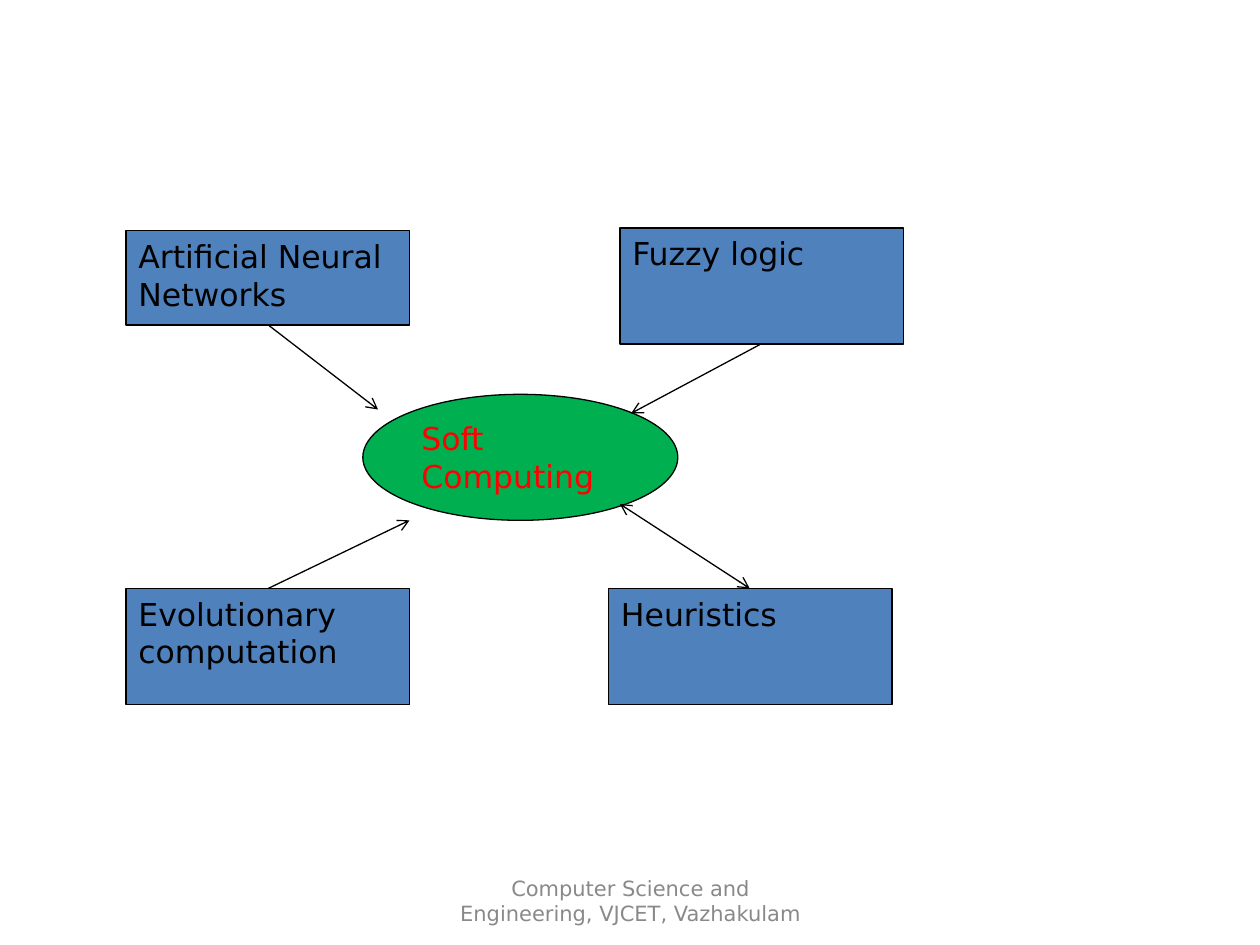
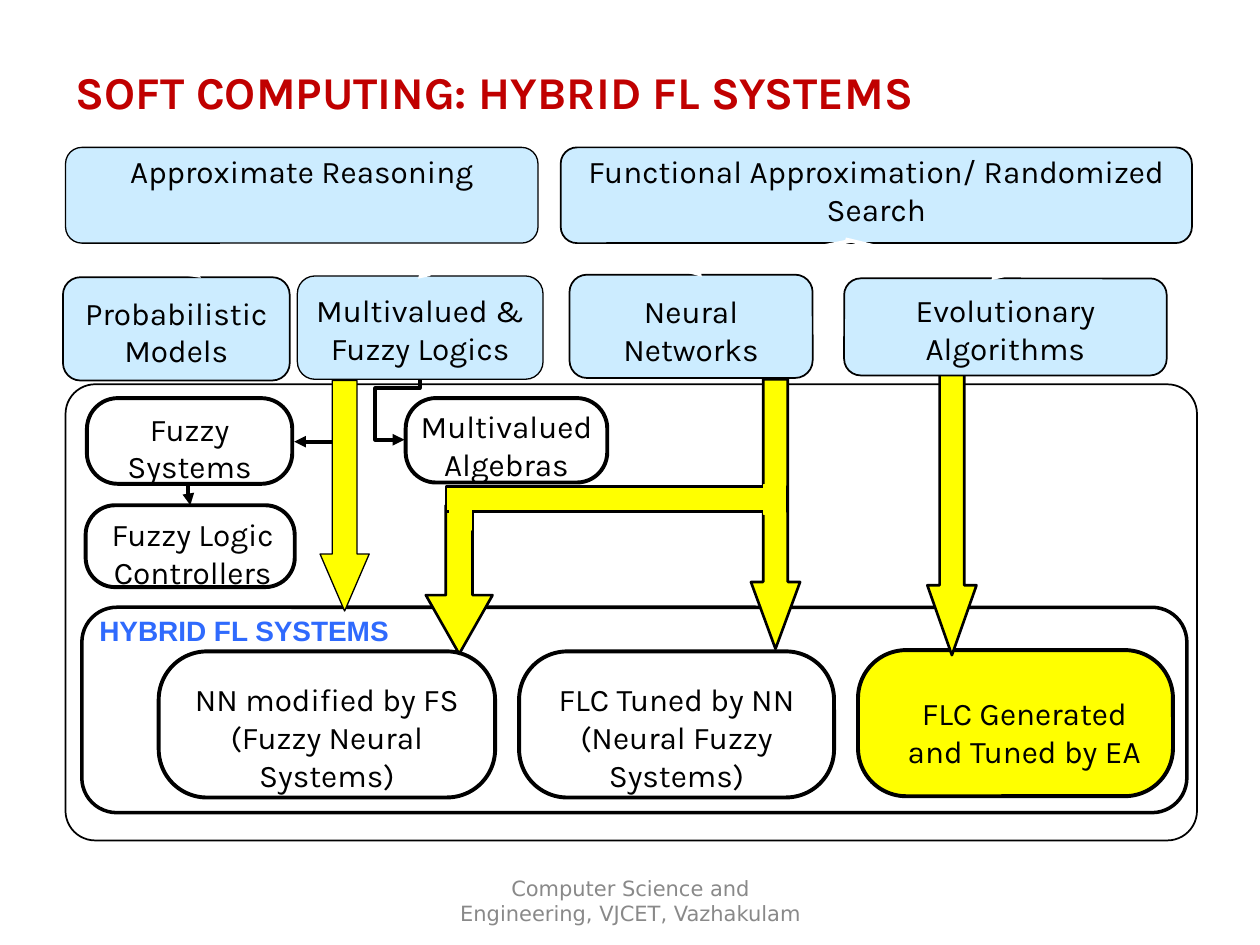
from dataclasses import dataclass

from lxml.etree import SubElement
from pptx import Presentation
from pptx.dml.color import RGBColor
from pptx.enum.shapes import MSO_CONNECTOR, MSO_SHAPE
from pptx.enum.text import MSO_ANCHOR, MSO_AUTO_SIZE, PP_ALIGN
from pptx.oxml.ns import qn
from pptx.util import Inches, Pt

COLUMNS, ROWS = 100, 75
TITLE_ONLY, BLANK = 5, 6
CORNER_INSET = 0.29  # share of a corner radius that a rounded box keeps free of text


@dataclass(frozen=True)
class Theme:
    black: str = "000000"
    white: str = "FFFFFF"
    blue: str = "4F81BD"
    green: str = "00B050"
    red: str = "FF0000"
    title: str = "C00000"
    sky: str = "CCECFF"
    yellow: str = "FFFF00"
    caption: str = "2F6AFD"
    grey: str = "898989"
    body_font: str = "Karla"
    plain_font: str = "DejaVu Sans"
    caption_font: str = "Arial"
    title_size: float = 26
    body_size: float = 18
    caption_size: float = 16
    footer_size: float = 12
    hairline: float = 0.75
    thin: float = 1
    medium: float = 1.5
    frame: float = 2
    thick: float = 2.25


THEME = Theme()


class SlideBuilder:
    """Draws on the current slide; lengths are columns and rows of the grid."""

    def __init__(self, deck):
        self.deck = deck
        self.slide = None

    def x(self, columns):
        return round(self.deck.slide_width * columns / COLUMNS)

    def y(self, rows):
        return round(self.deck.slide_height * rows / ROWS)

    def area(self, left, top, width, height):
        return self.x(left), self.y(top), self.x(width), self.y(height)

    def new_slide(self, layout):
        self.slide = self.deck.slides.add_slide(self.deck.slide_layouts[layout])

    def fill_text(self, shape, lines, size=THEME.body_size, font=THEME.body_font,
                  color=THEME.black, bold=False, align=PP_ALIGN.LEFT,
                  anchor=MSO_ANCHOR.TOP, insets=(1, 0.5, 1, 0.5), spacing=None):
        frame = shape.text_frame
        frame.word_wrap = True
        frame.auto_size = MSO_AUTO_SIZE.NONE
        frame.vertical_anchor = anchor
        left, top, right, bottom = insets
        frame.margin_left, frame.margin_right = self.x(left), self.x(right)
        frame.margin_top, frame.margin_bottom = self.y(top), self.y(bottom)
        for index, line in enumerate(lines):
            para = frame.add_paragraph() if index else frame.paragraphs[0]
            para.alignment = align
            para.line_spacing = spacing
            span = para.add_run()
            span.text = line
            span.font.name = font
            span.font.size = Pt(size)
            span.font.bold = bold
            span.font.color.rgb = RGBColor.from_string(color)

    def title(self, text, *place):
        box = self.slide.shapes.title
        box.left, box.top, box.width, box.height = self.area(*place)
        self.fill_text(box, [text], size=THEME.title_size, color=THEME.title, bold=True,
                       anchor=MSO_ANCHOR.BOTTOM, spacing=0.9)

    def text(self, lines, *place, **style):
        box = self.slide.shapes.add_textbox(*self.area(*place))
        self.fill_text(box, lines, **style)

    def footer(self):
        self.text(["Computer Science and Engineering, VJCET, Vazhakulam"],
                  34.2, 69.5, 31.7, 4, size=THEME.footer_size, font=THEME.plain_font,
                  color=THEME.grey, align=PP_ALIGN.CENTER, anchor=MSO_ANCHOR.MIDDLE)

    def shape(self, preset, place, fill=None, line=THEME.black,
              weight=THEME.hairline, adjust=()):
        shape = self.slide.shapes.add_shape(preset, *self.area(*place))
        shape.shadow.inherit = False
        if fill:
            shape.fill.solid()
            shape.fill.fore_color.rgb = RGBColor.from_string(fill)
        else:
            shape.fill.background()
        shape.line.color.rgb = RGBColor.from_string(line)
        shape.line.width = Pt(weight)
        for index, value in enumerate(adjust):
            shape.adjustments[index] = value
        return shape

    def concept(self, text, place, preset=MSO_SHAPE.RECTANGLE, fill=THEME.blue,
                color=THEME.black):
        shape = self.shape(preset, place, fill)
        self.fill_text(shape, [text], font=THEME.plain_font, color=color)

    def rounded(self, lines, place, text_drop, fill=THEME.white, weight=THEME.thick,
                corner=0.33, shift=0):
        """Rounded box whose text starts text_drop rows below its top edge."""
        shape = self.shape(MSO_SHAPE.ROUNDED_RECTANGLE, place, fill,
                           weight=weight, adjust=[corner])
        drop = max(0, text_drop - min(place[2:]) * corner * CORNER_INSET)
        self.fill_text(shape, lines, align=PP_ALIGN.CENTER, insets=(shift, drop, 0, 0))

    def category(self, lines, place, text_drop, weight=THEME.thin):
        self.rounded(lines, place, text_drop, THEME.sky, weight, 0.17)

    def block_arrow(self, place, adjust, weight=THEME.medium):
        self.shape(MSO_SHAPE.DOWN_ARROW, place, THEME.yellow,
                   weight=weight, adjust=adjust)

    def arrow(self, start, end, color=THEME.black, weight=THEME.thick,
              head="triangle", both=False, bend=None, rotation=0, adjust=()):
        """Arrow from start to end; a bent one is laid out before its rotation."""
        kind = MSO_CONNECTOR.ELBOW if bend else MSO_CONNECTOR.STRAIGHT
        connector = self.slide.shapes.add_connector(
            kind, self.x(start[0]), self.y(start[1]), self.x(end[0]), self.y(end[1]))
        connector.line.color.rgb = RGBColor.from_string(color)
        connector.line.width = Pt(weight)
        properties = connector.element.spPr
        outline = properties.find(qn("a:ln"))
        for tag in ("a:headEnd", "a:tailEnd") if both else ("a:tailEnd",):
            SubElement(outline, qn(tag), type=head)
        SubElement(properties, qn("a:effectLst"))
        if bend:
            properties.find(qn("a:xfrm")).set("rot", str(rotation * 60000))
            geometry = properties.find(qn("a:prstGeom"))
            geometry.set("prst", bend)
            guides = geometry.find(qn("a:avLst"))
            for number, share in enumerate(adjust, 1):
                SubElement(guides, qn("a:gd"), name=f"adj{number}",
                           fmla=f"val {round(share * 100000)}")


def soft_computing_parts(page):
    page.new_slide(BLANK)
    width, height, lower_top = 22.5, 9.2, 46.7
    page.concept("Artificial Neural Networks", (10, 18.3, width, 7.5))
    page.concept("Evolutionary computation", (10, lower_top, width, height))
    page.concept("Fuzzy logic", (49.2, 18.1, width, height))
    page.concept("Heuristics", (48.3, lower_top, width, height))
    page.concept("Soft Computing", (28.8, 31.3, 25, 10), MSO_SHAPE.OVAL,
                 THEME.green, THEME.red)
    for start, end, both in (
        ((21.3, 25.8), (30, 32.5), False),
        ((60.4, 27.3), (50.1, 32.8), False),
        ((21.3, lower_top), (32.5, 41.3), False),
        ((59.5, lower_top), (49.2, 40), True),
    ):
        page.arrow(start, end, weight=THEME.hairline, head="arrow", both=both)
    page.footer()


def hybrid_systems(page):
    page.new_slide(TITLE_ONLY)
    page.title("SOFT COMPUTING: HYBRID FL SYSTEMS", 5, 5, 90, 5)
    rounded = MSO_SHAPE.ROUNDED_RECTANGLE
    page.shape(rounded, (5.2, 30.5, 89.8, 36.2), THEME.white,
               weight=THEME.thin, adjust=[0.065])

    # Approaches and the model families below them
    page.category(["Functional Approximation/ Randomized Search"],
                  (44.5, 11.7, 50.1, 7.6), 0.4)
    page.category(["Probabilistic", "Models"], (5, 22, 18, 8.2), 1.3)
    page.category(["Neural", "Networks"], (45.2, 21.8, 19.3, 8.2), 1.4)
    white_arrow = {"color": THEME.white}
    page.arrow((23.2, 19.2), (14.9, 21.9), **white_arrow)
    page.arrow((67.6, 19.1), (54.7, 21.7), **white_arrow)

    # Fuzzy branch and hybrid systems
    page.rounded(["Fuzzy", "Systems"], (6.9, 31.6, 16.3, 6.8), 0.9, corner=0.36)
    page.rounded(["Fuzzy Logic", "Controllers"], (6.8, 40.1, 16.6, 6.5), 0.8,
                 corner=0.36, shift=0.4)
    page.rounded(["FLC Generated", "and Tuned by EA"], (68.1, 51.6, 25, 11.6), 3.5,
                 THEME.yellow, shift=1.4)
    page.shape(rounded, (6.5, 48.2, 87.7, 16.3), weight=THEME.frame, adjust=[0.17])
    page.rounded(["Multivalued", "Algebras"], (32.2, 31.6, 16, 6.7), 0.6, corner=0.36)
    page.arrow((21.9, 30.3), (28.1, 33.6), bend="bentConnector2", rotation=90)
    page.rounded(["NN modified by FS", "(Fuzzy Neural", "Systems)"],
                 (12.6, 51.7, 26.7, 11.6), 2.3)
    page.rounded(["FLC Tuned by NN", "(Neural Fuzzy", "Systems)"],
                 (41.2, 51.7, 25, 11.6), 2.3)

    # Flows into the hybrid systems
    page.block_arrow((73.6, 29.7, 3.9, 22.3), (0.5, 1.42))
    page.block_arrow((59.6, 30.1, 3.9, 21.4), (0.5, 1.36))
    page.block_arrow((25.4, 30.2, 3.9, 18.3), (0.5, 1.16), THEME.hairline)
    page.category(["Evolutionary", "Algorithms"], (67, 22.1, 25.6, 7.7), 1)
    page.arrow((67.1, 19), (79.7, 22), **white_arrow)
    page.category(["Multivalued &", "Fuzzy Logics"], (23.6, 21.9, 19.5, 8.2), 1.2,
                  THEME.hairline)
    page.arrow((23.6, 19.2), (34.2, 21.9), **white_arrow)
    page.arrow((15.8, 39.2), (14.2, 39.4), bend="bentConnector3", rotation=270,
               adjust=[0.5])
    page.block_arrow((33.8, 40.1, 5.3, 11.8), (0.4, 0.88))
    page.text(["HYBRID FL SYSTEMS"], 6.9, 48.2, 35.3, 3.7, size=THEME.caption_size,
              font=THEME.caption_font, color=THEME.caption, bold=True)
    page.shape(MSO_SHAPE.RECTANGLE, (35.4, 38.6, 27, 2), THEME.yellow,
               weight=THEME.medium)
    for joint in ((60.6, 38.5), (35.7, 39.8)):
        page.shape(MSO_SHAPE.RECTANGLE, (*joint, 1.7, 2.3), THEME.yellow,
                   THEME.yellow, THEME.thin)
    page.category(["Approximate Reasoning"], (5.2, 11.7, 37.5, 7.6), 0.2,
                  THEME.hairline)
    page.arrow((30.3, 31.9), (35.1, 33.1), bend="bentConnector4", rotation=90,
               adjust=[0.15, 2.93])
    page.footer()


def main():
    deck = Presentation()
    deck.slide_width, deck.slide_height = Inches(10), Inches(7.5)
    page = SlideBuilder(deck)
    soft_computing_parts(page)
    hybrid_systems(page)
    deck.save("out.pptx")


if __name__ == "__main__":
    main()
